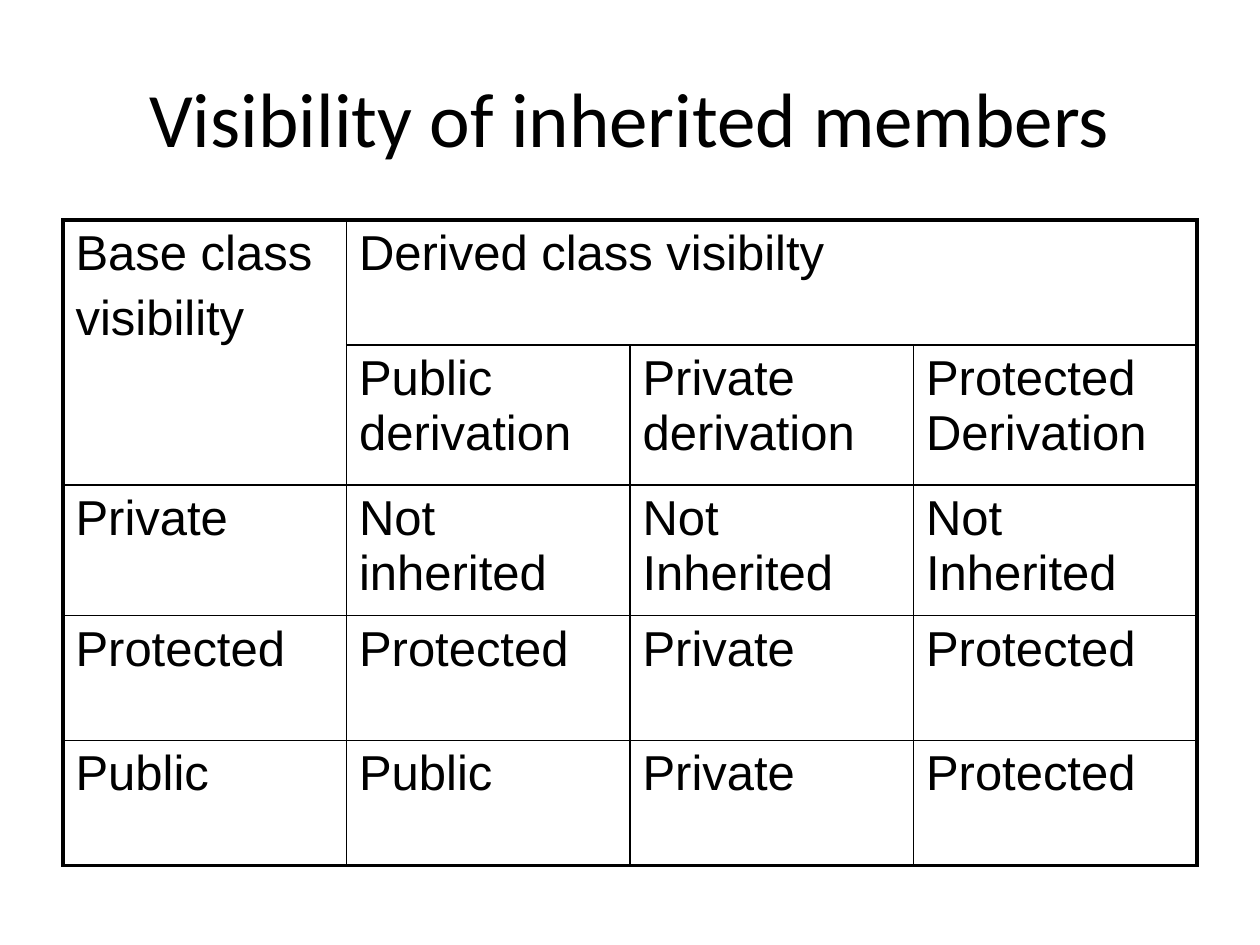
from lxml import etree
from pptx import Presentation
from pptx.dml.color import RGBColor
from pptx.enum.text import MSO_ANCHOR, PP_ALIGN
from pptx.oxml.ns import qn
from pptx.util import Pt

SCALE = 914400 / 126
BLACK = RGBColor(0x00, 0x00, 0x00)
MIDDLE, CENTER = MSO_ANCHOR.MIDDLE, PP_ALIGN.CENTER
THIN, THICK = Pt(1), Pt(2.25)

HEAD = {"name": "Calibri", "size": Pt(44)}
BODY = {"name": "Arial", "size": Pt(28)}

HEIGHTS = [125, 132, 125, 125, 125]
ROWS = [
    ["Base class\nvisibility", "Derived class visibilty", "", ""],
    ["", "Public derivation", "Private derivation", "Protected Derivation"],
    ["Private", "Not inherited", "Not Inherited", "Not Inherited"],
    ["Protected", "Protected", "Private", "Protected"],
    ["Public", "Public", "Private", "Protected"],
]


def px(n):
    return round(n * SCALE)


def write(frame, text, style, gap=0):
    """Fill a text frame, one paragraph per line of text."""
    frame.text = text
    for i, para in enumerate(frame.paragraphs):
        if i:
            para.space_before = Pt(gap)
        for run in para.runs:
            for key, value in style.items():
                setattr(run.font, key, value)
            run.font.color.rgb = BLACK


def add_title(slide, text):
    box = slide.shapes.add_textbox(px(63), px(38), px(1134), px(157))
    frame = box.text_frame
    frame.word_wrap = True
    frame.vertical_anchor = MIDDLE
    write(frame, text, HEAD)
    frame.paragraphs[0].alignment = CENTER


def set_lines(cell, widths):
    """Draw the left, right, top and bottom borders of a cell."""
    props = cell._tc.get_or_add_tcPr()
    for i, (side, width) in enumerate(zip("LRTB", widths)):
        line = etree.Element(qn(f"a:ln{side}"), w=str(int(width)))
        fill = etree.SubElement(line, qn("a:solidFill"))
        etree.SubElement(fill, qn("a:srgbClr"), val=str(BLACK))
        props.insert(i, line)


def add_grid(slide, rows):
    high, wide = len(rows), len(rows[0])
    shape = slide.shapes.add_table(high, wide, px(63), px(220),
                                   px(1134), px(sum(HEIGHTS)))
    table = shape.table
    table.first_row = table.horz_banding = False
    for row, height in zip(table.rows, HEIGHTS):
        row.height = px(height)

    # Merged headings
    table.cell(0, 0).merge(table.cell(1, 0))
    table.cell(0, 1).merge(table.cell(0, 3))

    # Cells, with a thick line around the whole table
    for r, row in enumerate(rows):
        for c, text in enumerate(row):
            cell = table.cell(r, c)
            cell.fill.background()
            if text:
                write(cell.text_frame, text, BODY, gap=5.6)
            edges = (c == 0, c + cell.span_width == wide,
                     r == 0, r + cell.span_height == high)
            set_lines(cell, [THICK if edge else THIN for edge in edges])


def main():
    deck = Presentation()
    deck.slide_width, deck.slide_height = px(1260), px(945)
    slide = deck.slides.add_slide(deck.slide_layouts[6])
    add_title(slide, "Visibility of inherited members")
    add_grid(slide, ROWS)
    deck.save("out.pptx")


if __name__ == "__main__":
    main()
